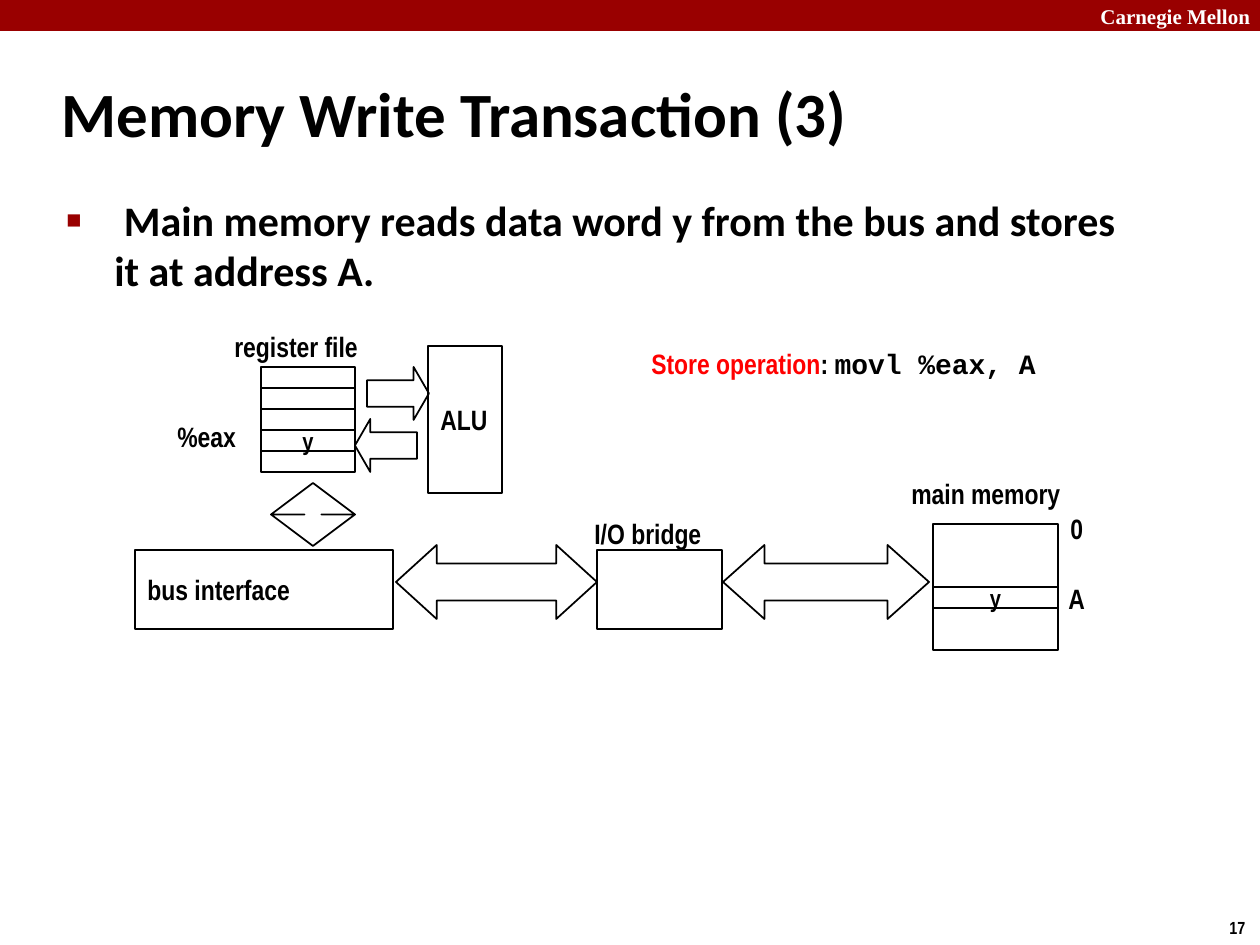
from dataclasses import dataclass

import pptx
import pptx.dml.color
import pptx.enum.shapes
import pptx.enum.text
import pptx.oxml.ns
import pptx.util
from lxml import etree

EMU_PER_PX = 914400 / 126
COLORS = {"red": "990000", "accent": "FF0000", "black": "000000", "white": "FFFFFF"}
SHAPE = pptx.enum.shapes.MSO_SHAPE
ANCHOR = pptx.enum.text.MSO_ANCHOR
ALIGN = pptx.enum.text.PP_ALIGN


@dataclass
class Span:
    text: str
    size: int = 16
    font: str = "Arial Narrow"
    color: str = "black"


@dataclass
class Label:
    left: int
    top: int
    width: int
    height: int
    spans: list[Span]
    anchor: ANCHOR = ANCHOR.MIDDLE
    wrap: bool = False
    grow: bool = True


@dataclass
class Block:
    left: int
    top: int
    width: int
    height: int
    kind: SHAPE = SHAPE.RECTANGLE
    adjustments: tuple[float, ...] = ()
    span: Span | None = None
    align: ALIGN = ALIGN.LEFT
    fill: str | None = None
    line: str | None = "black"


def px(length: int) -> pptx.util.Emu:
    return pptx.util.Emu(round(length * EMU_PER_PX))


def rgb(name: str) -> pptx.dml.color.RGBColor:
    return pptx.dml.color.RGBColor.from_string(COLORS[name])


def write_spans(para, spans: list[Span]) -> None:
    for span in spans:
        run = para.add_run()
        run.text = span.text
        run.font.name = span.font
        run.font.size = pptx.util.Pt(span.size)
        run.font.bold = True
        run.font.color.rgb = rgb(span.color)


def set_indent(para, hang: int) -> None:
    properties = para._p.get_or_add_pPr()
    properties.set("marL", str(px(hang)))
    properties.set("indent", str(-px(hang)))


def add_bullet(para, symbol: str, color: str, percent: int) -> None:
    properties = para._p.get_or_add_pPr()
    tag = pptx.oxml.ns.qn
    bullet_color = etree.SubElement(properties, tag("a:buClr"))
    etree.SubElement(bullet_color, tag("a:srgbClr"), val=COLORS[color])
    etree.SubElement(properties, tag("a:buSzPct"), val=str(percent * 1000))
    etree.SubElement(properties, tag("a:buFont"), typeface="Arial")
    etree.SubElement(properties, tag("a:buChar"), char=symbol)


def draw_label(page, label: Label):
    box = page.shapes.add_textbox(
        px(label.left), px(label.top), px(label.width), px(label.height))
    frame = box.text_frame
    frame.word_wrap = label.wrap
    frame.vertical_anchor = label.anchor
    if label.grow:
        frame.auto_size = pptx.enum.text.MSO_AUTO_SIZE.SHAPE_TO_FIT_TEXT
    para = frame.paragraphs[0]
    write_spans(para, label.spans)
    return para


def draw_block(page, block: Block) -> None:
    shape = page.shapes.add_shape(
        block.kind, px(block.left), px(block.top), px(block.width), px(block.height))
    shape.shadow.inherit = False
    for index, value in enumerate(block.adjustments):
        shape.adjustments[index] = value
    if block.fill:
        shape.fill.solid()
        shape.fill.fore_color.rgb = rgb(block.fill)
    else:
        shape.fill.background()
    if block.line:
        shape.line.color.rgb = rgb(block.line)
        shape.line.width = pptx.util.Pt(1)
    else:
        shape.line.fill.background()
    if block.span:
        frame = shape.text_frame
        frame.word_wrap = False
        frame.vertical_anchor = ANCHOR.MIDDLE
        para = frame.paragraphs[0]
        para.alignment = block.align
        write_spans(para, [block.span])


def main() -> None:
    deck = pptx.Presentation()
    deck.slide_width, deck.slide_height = px(1260), px(945)
    page = deck.slides.add_slide(deck.slide_layouts[6])

    # Banner and page number
    draw_block(page, Block(0, 0, 1260, 31, fill="red", line=None))
    draw_label(page, Label(1088, -3, 180, 38, [
        Span("Carnegie Mellon", 12, "Times New Roman", "white")], ANCHOR.TOP, wrap=True))
    draw_label(page, Label(1217, 911, 43, 34, [Span("17", 10)], ANCHOR.TOP))

    # Title and body
    title = draw_label(page, Label(49, 60, 1046, 105, [
        Span("Memory Write Transaction (3)", 36, "Calibri")], wrap=True, grow=False))
    set_indent(title, 16)
    body = draw_label(page, Label(54, 188, 1089, 685, [
        Span(" Main memory reads data word y from the bus and stores it at address A.",
             24, "Calibri")], ANCHOR.TOP, wrap=True, grow=False))
    set_indent(body, 48)
    add_bullet(body, "■", "red", 60)

    # Register file: equal rows, with y held in %eax
    row_height, eax_row = 21, 3
    word = Span("y", 14)
    for row in range(5):
        draw_block(page, Block(261, 367 + row * row_height, 94, row_height,
                               span=word if row == eax_row else None,
                               align=ALIGN.CENTER))

    # Units, memory and the arrows between them
    blocks = [
        Block(933, 524, 125, 126),
        Block(723, 545, 206, 74, SHAPE.LEFT_RIGHT_ARROW, (0.5, 0.56)),
        Block(597, 550, 125, 79),
        Block(396, 545, 201, 74, SHAPE.LEFT_RIGHT_ARROW, (0.5, 0.55)),
        Block(367, 367, 62, 53, SHAPE.RIGHT_ARROW, (0.5, 0.29)),
        Block(355, 419, 62, 53, SHAPE.LEFT_ARROW, (0.5, 0.29)),
        Block(428, 346, 74, 147, span=Span("ALU")),
        Block(271, 483, 84, 63, SHAPE.UP_DOWN_ARROW, (0.5, 0.2)),
        Block(135, 550, 258, 79, span=Span("bus interface"), fill="white"),
        Block(933, 587, 125, row_height, span=word, align=ALIGN.CENTER),
    ]
    for block in blocks:
        draw_block(page, block)

    # Captions
    captions = [
        ("register file", 222, 323, 176),
        ("main memory", 899, 470, 208),
        ("0", 1058, 505, 40),
        ("A", 1056, 575, 45),
        ("%eax", 165, 413, 96),
        ("I/O bridge", 582, 510, 156),
    ]
    for text, left, top, width in captions:
        draw_label(page, Label(left, top, width, 47, [Span(text)]))
    draw_label(page, Label(639, 340, 416, 81, [
        Span("Store operation", color="accent"), Span(": "),
        Span("movl %eax, A", font="Courier New")], ANCHOR.TOP))

    deck.save("out.pptx")


if __name__ == "__main__":
    main()
